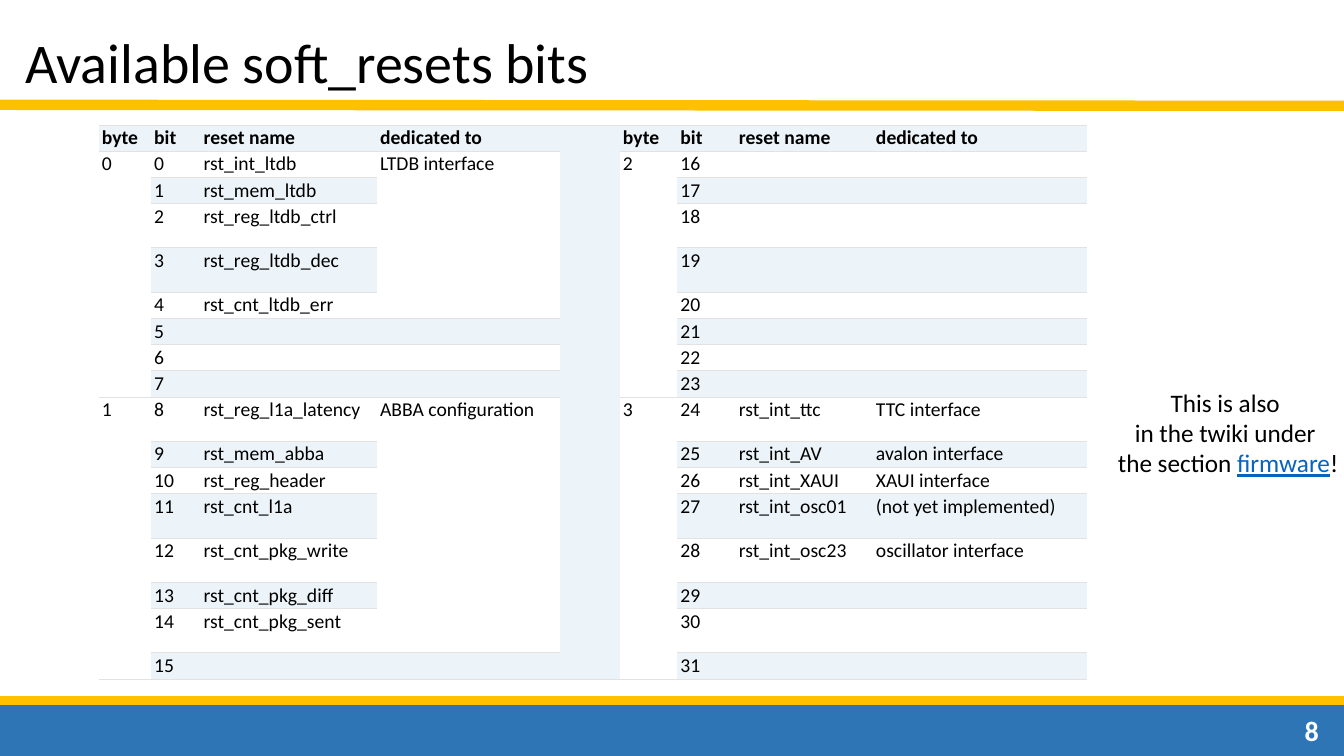
from dataclasses import dataclass

from lxml import etree
from pptx import Presentation
from pptx.dml.color import RGBColor
from pptx.enum import shapes, text
from pptx.oxml import ns
from pptx.util import Inches, Pt


@dataclass(frozen=True)
class Theme:
    font: str = "Calibri"
    black: str = "000000"
    white: str = "FFFFFF"
    gold: str = "FFC000"
    blue: str = "2E75B6"
    link: str = "0563C1"
    band: str = "EDF4F9"
    rule: str = "E2E2E2"
    title: int = 40
    number: int = 20
    note: int = 18
    table: int = 14


T = Theme()

# Table content
HEADER = ["byte", "bit", "reset name", "dedicated to"]
COL_WIDTHS = [0.52, 0.49, 1.75, 1.82, 0.59, 0.57, 0.58, 1.36, 2.12]
LEFT, SPACER, RIGHT = 0, 4, 5
BITS_PER_BYTE = 8
SINGLE, TALL = 0.26, 0.44
TALL_ROWS = {3, 4, 9, 12, 13, 15}
RESETS = {
    0: "rst_int_ltdb", 1: "rst_mem_ltdb", 2: "rst_reg_ltdb_ctrl",
    3: "rst_reg_ltdb_dec", 4: "rst_cnt_ltdb_err",
    8: "rst_reg_l1a_latency", 9: "rst_mem_abba", 10: "rst_reg_header",
    11: "rst_cnt_l1a", 12: "rst_cnt_pkg_write", 13: "rst_cnt_pkg_diff",
    14: "rst_cnt_pkg_sent",
    24: "rst_int_ttc", 25: "rst_int_AV", 26: "rst_int_XAUI",
    27: "rst_int_osc01", 28: "rst_int_osc23",
}
# First bit: (target, number of bits it covers)
TARGETS = {
    0: ("LTDB interface", 5), 8: ("ABBA configuration", 7),
    24: ("TTC interface", 1), 25: ("avalon interface", 1),
    26: ("XAUI interface", 1), 27: ("(not yet implemented)", 1),
    28: ("oscillator interface", 1),
}


def rgb(color):
    return RGBColor.from_string(color)


def add_run(p, words, size, color=T.black, bold=False, underline=False):
    r = p.add_run()
    r.text = words
    r.font.name, r.font.size = T.font, Pt(size)
    r.font.bold, r.font.underline = bold, underline
    r.font.color.rgb = rgb(color)


def add_text(s, box, lines, size, align=text.PP_ALIGN.LEFT, bold=False):
    """Each line is a list of (words, color, underline) runs."""
    tf = s.shapes.add_textbox(*map(Inches, box)).text_frame
    tf.word_wrap = False
    tf.auto_size = text.MSO_AUTO_SIZE.SHAPE_TO_FIT_TEXT
    for i, line in enumerate(lines):
        p = tf.add_paragraph() if i else tf.paragraphs[0]
        p.alignment = align
        for words, color, underline in line:
            add_run(p, words, size, color, bold, underline)


def add_rule(s, y1, y2, width):
    line = s.shapes.add_connector(
        shapes.MSO_CONNECTOR.STRAIGHT,
        Inches(0), Inches(y1), Inches(13.33), Inches(y2))
    line.line.color.rgb = rgb(T.gold)
    line.line.width = Pt(width)
    etree.SubElement(line._element.spPr, ns.qn("a:effectLst"))


def add_footer_bar(s):
    sp = s.shapes.add_shape(
        shapes.MSO_SHAPE.RECTANGLE,
        Inches(0), Inches(6.96), Inches(13.34), Inches(0.54))
    sp.shadow.inherit = False
    sp.fill.solid()
    sp.fill.fore_color.rgb = rgb(T.blue)
    sp.line.color.rgb = rgb(T.blue)
    sp.line.width = Pt(1)


def set_borders(cell, top, bottom):
    tcPr = cell._tc.get_or_add_tcPr()
    sides = (("lnL", False), ("lnR", False), ("lnT", top), ("lnB", bottom))
    for i, (side, visible) in enumerate(sides):
        ln = etree.Element(ns.qn(f"a:{side}"), w=str(Pt(0.75)))
        if visible:
            fill = etree.SubElement(ln, ns.qn("a:solidFill"))
            etree.SubElement(fill, ns.qn("a:srgbClr"), val=T.rule)
        else:
            etree.SubElement(ln, ns.qn("a:noFill"))
        tcPr.insert(i, ln)


def style_cell(cell, color, last):
    cell.margin_left = cell.margin_right = Inches(0.03)
    cell.margin_top = cell.margin_bottom = Inches(0.01)
    cell.fill.solid()
    cell.fill.fore_color.rgb = rgb(color)
    set_borders(cell, not cell.is_spanned, last or not cell.is_spanned)
    p = cell.text_frame.paragraphs[0]
    if not p.runs:
        etree.SubElement(p._p, ns.qn("a:endParaRPr"), sz=str(T.table * 100))


def fill_half(table, col, first_bit):
    def write(row, offset, words, bold=False):
        p = table.cell(row, col + offset).text_frame.paragraphs[0]
        add_run(p, words, T.table, bold=bold)

    def merge_down(row, offset, count):
        start = table.cell(row, col + offset)
        start.merge(table.cell(row + count - 1, col + offset))

    for offset, words in enumerate(HEADER):
        write(0, offset, words, bold=True)
    for row in range(1, 2 * BITS_PER_BYTE + 1):
        bit = first_bit + row - 1
        if bit % BITS_PER_BYTE == 0:
            write(row, 0, str(bit // BITS_PER_BYTE))
            merge_down(row, 0, BITS_PER_BYTE)
        write(row, 1, str(bit))
        if bit in RESETS:
            write(row, 2, RESETS[bit])
        if bit in TARGETS:
            target, count = TARGETS[bit]
            write(row, 3, target)
            if count > 1:
                merge_down(row, 3, count)


def add_reset_table(s):
    rows = 2 * BITS_PER_BYTE + 1
    table = s.shapes.add_table(
        rows, len(COL_WIDTHS), Inches(0.98), Inches(1.24),
        Inches(sum(COL_WIDTHS)), Inches(5.53)).table
    table.first_row = table.horz_banding = False
    for col, width in zip(table.columns, COL_WIDTHS):
        col.width = Inches(width)
    for i, row in enumerate(table.rows):
        row.height = Inches(TALL if i in TALL_ROWS else SINGLE)

    table.cell(0, SPACER).merge(table.cell(rows - 1, SPACER))
    fill_half(table, LEFT, 0)
    fill_half(table, RIGHT, 2 * BITS_PER_BYTE)

    # Even rows are tinted, except inside the merged white blocks
    for i in range(rows):
        for j in range(len(COL_WIDTHS)):
            cell = table.cell(i, j)
            tinted = j == SPACER or (i % 2 == 0 and not cell.is_spanned)
            style_cell(cell, T.band if tinted else T.white, i == rows - 1)


def main():
    prs = Presentation()
    prs.slide_width, prs.slide_height = Inches(13.33), Inches(7.5)
    s = prs.slides.add_slide(prs.slide_layouts[6])

    # Frame and title
    add_rule(s, 1.06, 1.07, 4.5)
    add_footer_bar(s)
    add_rule(s, 6.95, 6.95, 6)
    add_text(s, (0.15, 0.22, 5.86, 0.77),
             [[("Available soft_resets bits", T.black, False)]], T.title)
    add_rule(s, 1.02, 1.03, 4.5)

    # Reset bits
    add_reset_table(s)

    # Side note and page number
    add_text(s, (10.97, 3.79, 2.42, 1.01), [
        [("This is also ", T.black, False)],
        [("in the twiki under ", T.black, False)],
        [("the section ", T.black, False), ("firmware", T.link, True),
         ("!", T.black, False)],
    ], T.note, text.PP_ALIGN.CENTER)
    add_text(s, (12.84, 7.03, 0.34, 0.44), [[("8", T.white, False)]],
             T.number, bold=True)

    prs.save("out.pptx")


if __name__ == "__main__":
    main()
